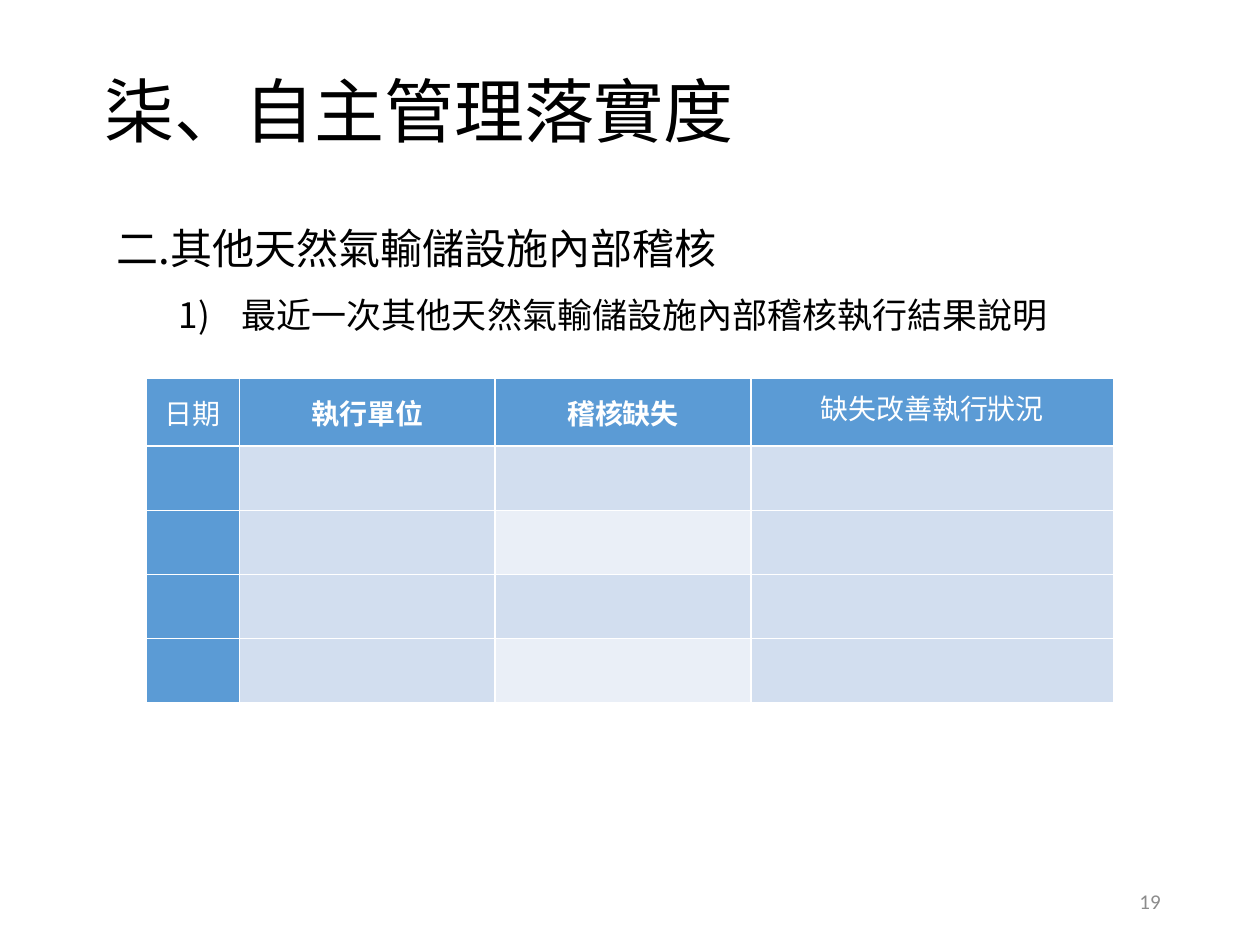
from dataclasses import dataclass
from typing import Optional

from lxml.etree import SubElement
from pptx import Presentation
from pptx.dml.color import RGBColor
from pptx.enum.text import MSO_ANCHOR as Anchor, PP_ALIGN as Align
from pptx.oxml.ns import qn
from pptx.util import Emu, Inches, Pt


@dataclass(frozen=True)
class Theme:
    font: str = "Noto Sans CJK SC"
    number_font: str = "Calibri"
    ink: str = "000000"
    muted: str = "8C8C8C"
    white: str = "FFFFFF"
    accent: str = "5B9BD5"
    band: str = "D2DEEF"
    light_band: str = "EAEFF7"
    title: int = 40
    heading: int = 24
    item: int = 20
    cell: int = 16
    footer: int = 12
    rule: float = 1


@dataclass(frozen=True)
class Line:
    text: str
    size: int
    color: str
    font: str
    align: Align = Align.LEFT
    bold: bool = False
    spacing: Optional[object] = None
    number: str = ""


@dataclass(frozen=True)
class TextBlock:
    left: float
    top: float
    width: float
    height: float
    lines: tuple[Line, ...]
    padded: bool = True


@dataclass(frozen=True)
class Heading:
    text: str
    width: float
    bold: bool = False
    spacing: Optional[object] = None


THEME = Theme()
BLOCKS = (
    # Page number
    TextBlock(7.06, 6.95, 2.25, 0.4, (
        Line("19", THEME.footer, THEME.muted, THEME.number_font, Align.RIGHT),)),
    # Title
    TextBlock(0.83, 0.61, 7.63, 0.61, (
        Line("柒、自主管理落實度", THEME.title, THEME.ink, THEME.font, spacing=0.9),),
        padded=False),
    # Section heading and its numbered item
    TextBlock(0.83, 1.51, 7.83, 1.21, (
        Line("二.其他天然氣輸儲設施內部稽核", THEME.heading, THEME.ink, THEME.font,
             spacing=1.5),
        Line("最近一次其他天然氣輸儲設施內部稽核執行結果說明", THEME.item, THEME.ink,
             THEME.font, spacing=1.5, number="arabicParenR"))),
)
HEADINGS = (
    Heading("日期", 0.74),
    Heading("執行單位", 2.03, bold=True),
    Heading("稽核缺失", 2.03, bold=True),
    Heading("缺失改善執行狀況", 2.88, spacing=Pt(18)),
)
TABLE_LEFT, TABLE_TOP = 1.16, 3.0
HEADER_HEIGHT, ROW_HEIGHT, BODY_ROWS = 0.54, 0.51, 4


def write_line(para, line: Line) -> None:
    para.alignment = line.align
    if line.spacing is not None:
        para.line_spacing = line.spacing
    font = para.font
    font.size, font.bold, font.name = Pt(line.size), line.bold, line.font
    font.color.rgb = RGBColor.from_string(line.color)
    properties = para._p.get_or_add_pPr()
    defaults = properties.find(qn("a:defRPr"))
    SubElement(defaults, qn("a:ea"), typeface=line.font)
    if line.number:
        properties.set("marL", str(Inches(0.99)))
        properties.set("indent", str(Inches(-0.5)))
        bullet = SubElement(properties, qn("a:buAutoNum"), type=line.number)
        defaults.addprevious(bullet)
    para.add_run().text = line.text


def add_text(page, block: TextBlock) -> None:
    box = page.shapes.add_textbox(Inches(block.left), Inches(block.top),
                                  Inches(block.width), Inches(block.height))
    frame = box.text_frame
    frame.word_wrap = True
    frame.vertical_anchor = Anchor.MIDDLE
    if not block.padded:
        frame.margin_left = frame.margin_right = Emu(0)
        frame.margin_top = frame.margin_bottom = Emu(0)
    for index, line in enumerate(block.lines):
        para = frame.add_paragraph() if index else frame.paragraphs[0]
        write_line(para, line)


def style_cell(cell, color: str) -> None:
    properties = cell._tc.get_or_add_tcPr()
    for side in ("L", "R", "T", "B"):
        border = SubElement(properties, qn(f"a:ln{side}"), w=str(Pt(THEME.rule)))
        fill = SubElement(border, qn("a:solidFill"))
        SubElement(fill, qn("a:srgbClr"), val=THEME.white)
    cell.fill.solid()
    cell.fill.fore_color.rgb = RGBColor.from_string(color)


def cell_color(row: int, column: int) -> str:
    if row == 0 or column == 0:
        return THEME.accent
    return THEME.light_band if column == 2 and row % 2 == 0 else THEME.band


def add_audit_table(page) -> None:
    heights = [HEADER_HEIGHT] + [ROW_HEIGHT] * BODY_ROWS
    width = sum(heading.width for heading in HEADINGS)
    table = page.shapes.add_table(len(heights), len(HEADINGS), Inches(TABLE_LEFT),
                                  Inches(TABLE_TOP), Inches(width),
                                  Inches(sum(heights))).table
    for row, height in zip(table.rows, heights):
        row.height = Inches(height)
    for index, heading in enumerate(HEADINGS):
        table.columns[index].width = Inches(heading.width)
        cell = table.cell(0, index)
        cell.vertical_anchor = Anchor.MIDDLE
        cell.margin_left = cell.margin_right = Inches(0.07)
        cell.margin_top = cell.margin_bottom = Emu(0)
        write_line(cell.text_frame.paragraphs[0],
                   Line(heading.text, THEME.cell, THEME.white, THEME.font,
                        Align.CENTER, heading.bold, heading.spacing))
        for row in range(len(heights)):
            style_cell(table.cell(row, index), cell_color(row, index))


deck = Presentation()
deck.slide_width, deck.slide_height = Inches(10), Inches(7.5)
page = deck.slides.add_slide(deck.slide_layouts[6])
for block in BLOCKS:
    add_text(page, block)
add_audit_table(page)
deck.save("out.pptx")
